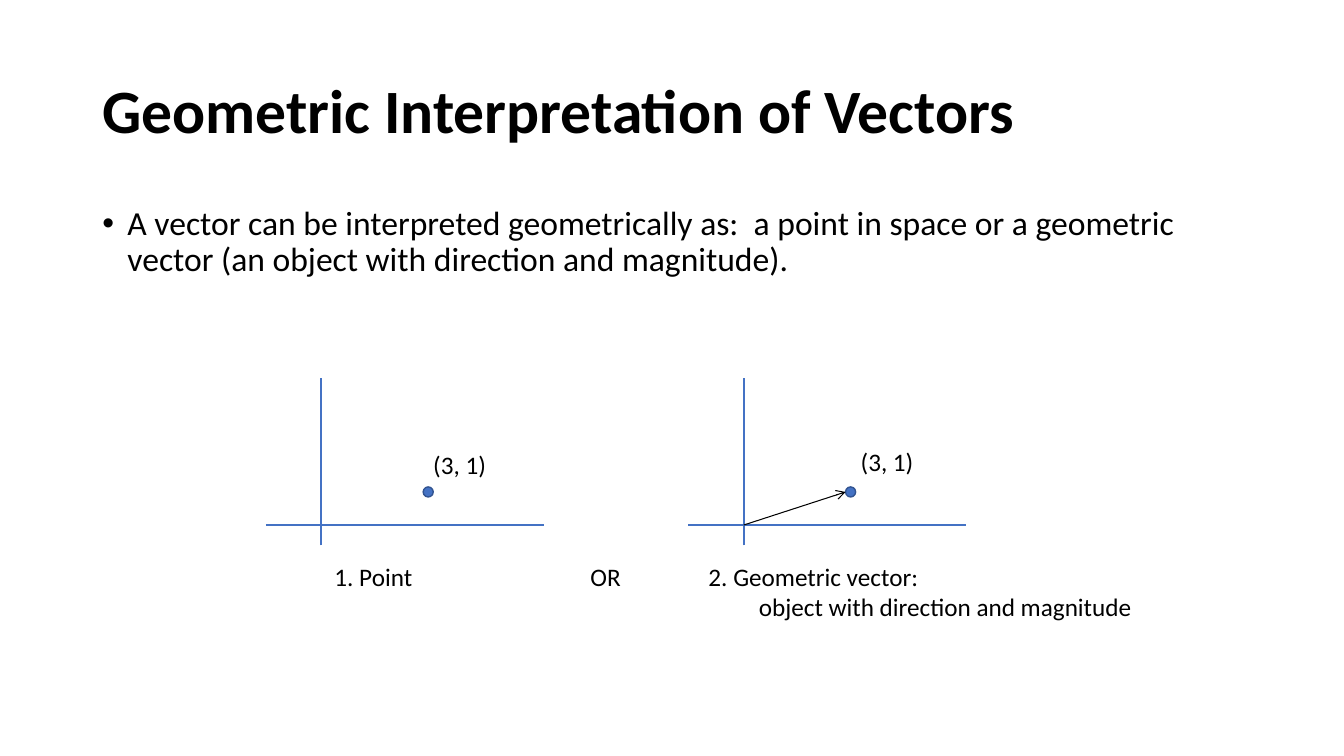
from lxml.etree import SubElement
from pptx import Presentation
from pptx.dml.color import RGBColor
from pptx.enum.shapes import MSO_CONNECTOR, MSO_SHAPE
from pptx.enum.text import MSO_ANCHOR
from pptx.oxml.ns import qn
from pptx.util import Pt

BLACK = RGBColor(0x00, 0x00, 0x00)
BLUE = RGBColor(0x44, 0x72, 0xC4)
DARK_BLUE = RGBColor(0x32, 0x54, 0x91)

DOT_SIZE = 7.2
DOT_RIGHT, DOT_UP = 76.3, 23.6  # from the origin to the centre of the dot
ORIGIN_Y = 375


def add_paragraph(frame, text, first=False, size=18, bold=False, indent=0,
                  bullet=None, line_spacing=None):
    """Write one paragraph; a bullet hangs in the indent."""
    para = frame.paragraphs[0] if first else frame.add_paragraph()
    properties = para._p.get_or_add_pPr()
    if indent:
        properties.set("marL", str(Pt(indent)))
        properties.set("indent", str(Pt(-indent if bullet else 0)))
    if line_spacing:
        para.line_spacing = line_spacing
    if bullet:
        SubElement(properties, qn("a:buFont"), typeface="Arial")
        SubElement(properties, qn("a:buChar"), char=bullet)
    span = para.add_run()
    span.text = text
    span.font.name = "Calibri"
    span.font.size = Pt(size)
    span.font.bold = bold
    span.font.color.rgb = BLACK


class VectorSlide:
    def __init__(self, deck):
        self.page = deck.slides.add_slide(deck.slide_layouts[6])

    def text(self, left, top, width, height, *lines, anchor=MSO_ANCHOR.TOP):
        """Place a text box; each line is a text and its format."""
        box = self.page.shapes.add_textbox(Pt(left), Pt(top), Pt(width), Pt(height))
        frame = box.text_frame
        frame.word_wrap = True
        frame.vertical_anchor = anchor
        for number, (text, style) in enumerate(lines):
            add_paragraph(frame, text, first=number == 0, **style)

    def line(self, start, end, color=BLUE, width=1.5, arrow=False):
        connector = self.page.shapes.add_connector(
            MSO_CONNECTOR.STRAIGHT, *(Pt(value) for value in (*start, *end)))
        connector.line.color.rgb = color
        connector.line.width = Pt(width)
        if arrow:
            SubElement(connector.line._get_or_add_ln(), qn("a:tailEnd"), type="arrow")
        SubElement(connector._element.spPr, qn("a:effectLst"))

    def dot(self, center_x, center_y):
        shape = self.page.shapes.add_shape(
            MSO_SHAPE.OVAL, Pt(center_x - DOT_SIZE / 2), Pt(center_y - DOT_SIZE / 2),
            Pt(DOT_SIZE), Pt(DOT_SIZE))
        shape.shadow.inherit = False
        shape.fill.solid()
        shape.fill.fore_color.rgb = BLUE
        shape.line.color.rgb = DARK_BLUE
        shape.line.width = Pt(1)

    def plot(self, origin_x, label_left, label_top, with_arrow=False):
        """Draw axes with the labelled point, and the arrow to it if wanted."""
        self.line((origin_x - 39.6, ORIGIN_Y), (origin_x + 159, ORIGIN_Y))
        self.line((origin_x, ORIGIN_Y + 14.5), (origin_x, ORIGIN_Y - 105))
        dot_x, dot_y = origin_x + DOT_RIGHT, ORIGIN_Y - DOT_UP
        self.dot(dot_x, dot_y)
        if with_arrow:
            self.line((origin_x, ORIGIN_Y), (dot_x - DOT_SIZE / 2, dot_y),
                      color=BLACK, width=0.75, arrow=True)
        self.text(label_left, label_top, 54.7, 29, ("(3, 1)", {}))


def main():
    deck = Presentation()
    deck.slide_width, deck.slide_height = Pt(960), Pt(540)
    slide = VectorSlide(deck)

    slide.text(66, 28.8, 828, 104.4,
               ("Geometric Interpretation of Vectors",
                dict(size=44, bold=True, line_spacing=0.9)),
               anchor=MSO_ANCHOR.MIDDLE)
    slide.text(66, 144, 828, 342.7,
               ("A vector can be interpreted geometrically as:  a point in space "
                "or a geometric vector (an object with direction and magnitude).",
                dict(size=24, indent=18, bullet="•", line_spacing=0.9)))

    slide.plot(229.6, label_left=302.4, label_top=317.5)
    slide.plot(531.3, label_left=607.7, label_top=315.4, with_arrow=True)

    caption_top = 397.4
    slide.text(219.6, caption_top, 169.2, 29, ("1. Point", dict(indent=12.2)))
    slide.text(402.5, caption_top, 59, 29, ("OR", dict(indent=12.2)))
    slide.text(499, caption_top, 332, 51,
               ("2. Geometric vector:", {}),
               ("object with direction and magnitude", dict(indent=36)))

    deck.save("out.pptx")


if __name__ == "__main__":
    main()
